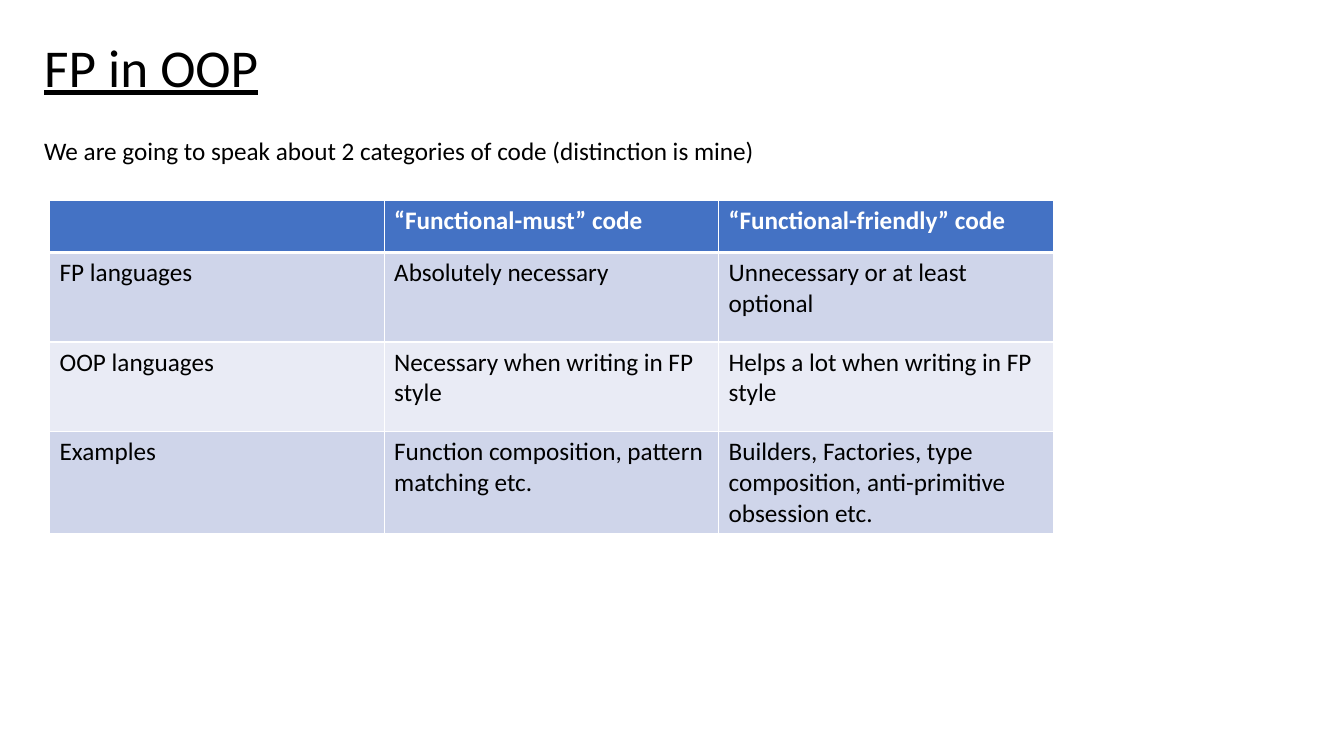
import lxml.etree
import pptx
import pptx.dml.color
import pptx.enum.text
import pptx.oxml.ns
import pptx.util

Cm = pptx.util.Cm
Pt = pptx.util.Pt

CATEGORIES = [
    ["", "“Functional-must” code", "“Functional-friendly” code"],
    ["FP languages", "Absolutely necessary", "Unnecessary or at least optional"],
    ["OOP languages", "Necessary when writing in FP style",
     "Helps a lot when writing in FP style"],
    ["Examples", "Function composition, pattern matching etc.",
     "Builders, Factories, type composition, anti-primitive obsession etc."],
]
ROW_HEIGHTS = [1.3, 2.26, 2.26, 1.32]


def color(hex_value):
    return pptx.dml.color.RGBColor.from_string(hex_value)


class SlideWriter:
    FONT = "Calibri"
    BLACK, WHITE = "000000", "FFFFFF"
    HEADER, BANDS = "4472C4", ("E9EBF5", "CFD5EA")

    def __init__(self, slide):
        self.slide = slide

    def add_run(self, paragraph, text, size=18, ink=BLACK, bold=False, underline=False):
        run = paragraph.add_run()
        run.text = text
        run.font.name = self.FONT
        run.font.size = Pt(size)
        run.font.bold = bold
        run.font.underline = underline
        run.font.color.rgb = color(ink)

    def title(self, text, left, top, width, height):
        heading = self.slide.shapes.title
        heading.left, heading.top = Cm(left), Cm(top)
        heading.width, heading.height = Cm(width), Cm(height)
        frame = heading.text_frame
        frame.word_wrap = True
        frame.auto_size = pptx.enum.text.MSO_AUTO_SIZE.NONE
        frame.vertical_anchor = pptx.enum.text.MSO_ANCHOR.BOTTOM
        paragraph = frame.paragraphs[0]
        paragraph.alignment = pptx.enum.text.PP_ALIGN.LEFT
        paragraph.line_spacing = 0.9
        self.add_run(paragraph, text, size=38, underline=True)

    def text(self, text, left, top, width, height):
        frame = self.slide.shapes.add_textbox(
            Cm(left), Cm(top), Cm(width), Cm(height)).text_frame
        frame.word_wrap = True
        paragraph = frame.paragraphs[0]
        paragraph.alignment = pptx.enum.text.PP_ALIGN.JUSTIFY
        self.add_run(paragraph, text)

    def border(self, cell, side, points):
        """Add one white cell edge; side is L, R, T or B."""
        qn = pptx.oxml.ns.qn
        properties = cell._tc.get_or_add_tcPr()
        edge = lxml.etree.SubElement(properties, qn(f"a:ln{side}"), w=str(Pt(points)))
        fill = lxml.etree.SubElement(edge, qn("a:solidFill"))
        lxml.etree.SubElement(fill, qn("a:srgbClr"), val=self.WHITE)

    def table(self, rows, left, top, column_width, row_heights):
        columns = len(rows[0])
        grid = self.slide.shapes.add_table(
            len(rows), columns, Cm(left), Cm(top),
            Cm(column_width * columns), Cm(sum(row_heights))).table
        for column in grid.columns:
            column.width = Cm(column_width)
        for r, (labels, height) in enumerate(zip(rows, row_heights)):
            grid.rows[r].height = Cm(height)
            is_header = r == 0
            for c, label in enumerate(labels):
                cell = grid.cell(r, c)
                for side in "LRTB":
                    under_header = (r, side) in ((0, "B"), (1, "T"))
                    self.border(cell, side, 3 if under_header else 1)
                cell.fill.solid()
                cell.fill.fore_color.rgb = color(
                    self.HEADER if is_header else self.BANDS[r % 2])
                if label:
                    self.add_run(cell.text_frame.paragraphs[0], label, bold=is_header,
                                 ink=self.WHITE if is_header else self.BLACK)


def main():
    deck = pptx.Presentation()
    deck.slide_width, deck.slide_height = Cm(33.87), Cm(19.05)
    writer = SlideWriter(deck.slides.add_slide(deck.slide_layouts.get_by_name("Title Only")))
    writer.title("FP in OOP", 0.86, 0.46, 32.13, 2.16)
    writer.table(CATEGORIES, 1.25, 5.06, 8.43, ROW_HEIGHTS)
    writer.text("We are going to speak about 2 categories of code (distinction is mine)",
                0.86, 3.28, 31.52, 1.8)
    deck.save("out.pptx")


if __name__ == "__main__":
    main()
